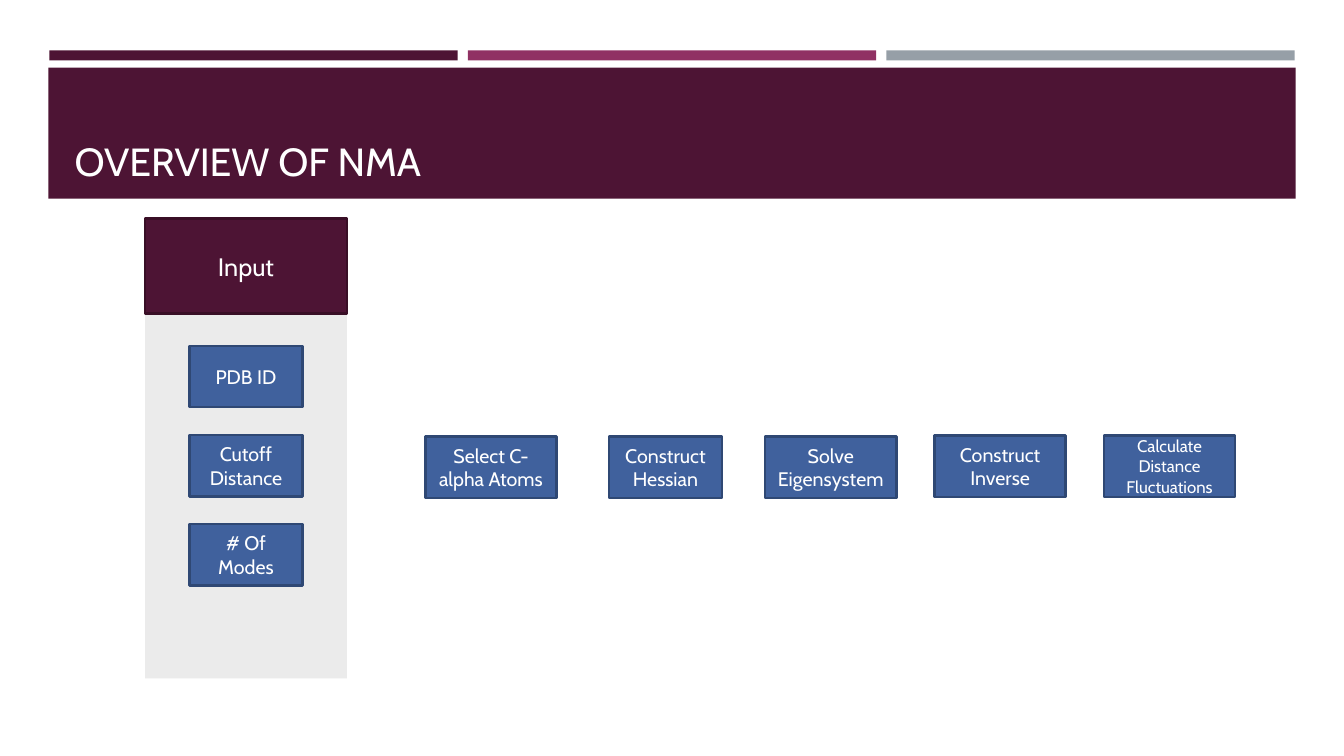
"""Build the NMA overview slide: an input panel followed by the processing steps."""
from pptx import Presentation
from pptx.dml.color import RGBColor
from pptx.enum import shapes, text
from pptx.util import Inches, Pt

COLORS = {
    "plum": "4D1434", "plum_edge": "390F26", "magenta": "903163", "gray": "969FA7",
    "panel": "EBEBEB", "blue": "40619D", "blue_edge": "2F4874", "white": "FFFFFF",
}


def write(target, wording, size=14, anchor=text.MSO_ANCHOR.MIDDLE, align=text.PP_ALIGN.CENTER):
    frame = target.text_frame
    frame.text = wording
    frame.word_wrap = True
    frame.auto_size = text.MSO_AUTO_SIZE.NONE
    frame.vertical_anchor = anchor
    paragraph = frame.paragraphs[0]
    paragraph.alignment = align
    font = paragraph.runs[0].font
    font.name = "Cabin"
    font.size = Pt(size)
    font.color.rgb = RGBColor.from_string(COLORS["white"])


def add_box(left, top, width, height, fill, edge=None):
    box = slide.shapes.add_shape(
        shapes.MSO_SHAPE.RECTANGLE, Inches(left), Inches(top), Inches(width), Inches(height))
    box.shadow.inherit = False
    box.fill.solid()
    box.fill.fore_color.rgb = RGBColor.from_string(COLORS[fill])
    if edge:
        box.line.color.rgb = RGBColor.from_string(COLORS[edge])
        box.line.width = Pt(1.75)
    else:
        box.line.fill.background()
    return box


deck = Presentation()
deck.slide_width, deck.slide_height = Inches(13.33), Inches(7.5)
slide = deck.slides.add_slide(deck.slide_layouts[5])

for column, accent in enumerate(("plum", "magenta", "gray")):
    add_box(0.49 + 4.15 * column, 0.5, 4.05, 0.1, accent)
title_band = add_box(0.48, 0.67, 12.37, 1.3, "plum")

title = slide.shapes.title
title.left, title.top = Inches(0.64), Inches(0.77)
title.width, title.height = Inches(12.06), Inches(1.11)
write(title, "OVERVIEW OF NMA", size=28,
      anchor=text.MSO_ANCHOR.BOTTOM, align=text.PP_ALIGN.LEFT)
title_band.element.addnext(title.element)

add_box(1.44, 3.11, 2, 3.62, "panel")
input_header = add_box(1.44, 2.17, 2, 0.94, "plum", "plum_edge")
write(input_header, "Input", size=18)

for row, parameter in enumerate(("PDB ID", "Cutoff Distance", "# Of Modes")):
    write(add_box(1.88, 3.43 + 0.885 * row, 1.12, 0.61, "blue", "blue_edge"), parameter)

steps = [
    ("Select C-alpha Atoms", 4.22, 4.33, 1.3, 14),
    ("Construct Hessian", 6.04, 4.33, 1.12, 14),
    ("Solve Eigensystem", 7.59, 4.33, 1.3, 14),
    ("Construct Inverse", 9.27, 4.32, 1.3, 14),
    ("Calculate Distance Fluctuations", 10.95, 4.32, 1.3, 12),
]
for step, left, top, width, size in steps:
    write(add_box(left, top, width, 0.61, "blue", "blue_edge"), step, size=size)

deck.save("out.pptx")
